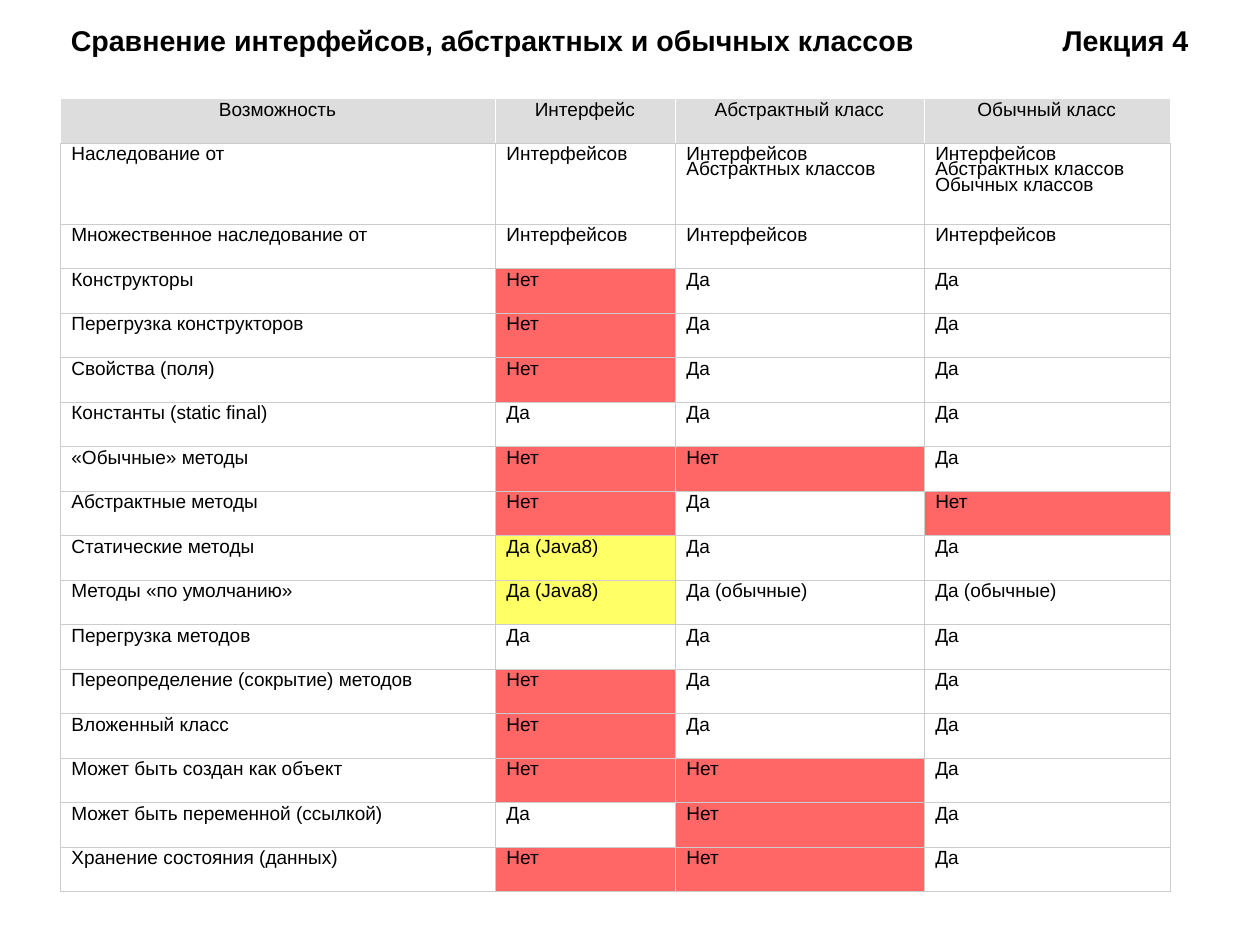
"""Build a slide that compares interfaces, abstract classes and ordinary classes."""
from lxml.etree import SubElement
from pptx import Presentation
from pptx.dml.color import RGBColor
from pptx.enum.text import MSO_ANCHOR as Anchor, PP_ALIGN as Align
from pptx.oxml.ns import qn
from pptx.util import Pt

BLACK = RGBColor(0x00, 0x00, 0x00)
WHITE = RGBColor(0xFF, 0xFF, 0xFF)
HEADER_GRAY = RGBColor(0xDD, 0xDD, 0xDD)
BORDER_GRAY = RGBColor(0xCC, 0xCC, 0xCC)
RED = RGBColor(0xFF, 0x66, 0x66)
YELLOW = RGBColor(0xFF, 0xFF, 0x66)

ANSWER_FILLS = {"Нет": RED, "Да (Java8)": YELLOW}
COLUMN_WIDTHS = (274, 113.4, 156.8, 154.8)
ROW_HEIGHT = 28.05
TALL_ROW, TALL_HEIGHT = 1, 51
SIDES = ("lnL", "lnR", "lnT", "lnB")

HEADERS = ("Возможность", "Интерфейс", "Абстрактный класс", "Обычный класс")
FEATURES = (
    ("Наследование от", "Интерфейсов", "Интерфейсов\nАбстрактных классов",
     "Интерфейсов\nАбстрактных классов\nОбычных классов"),
    ("Множественное наследование от", "Интерфейсов", "Интерфейсов", "Интерфейсов"),
    ("Конструкторы", "Нет", "Да", "Да"),
    ("Перегрузка конструкторов", "Нет", "Да", "Да"),
    ("Свойства (поля)", "Нет", "Да", "Да"),
    ("Константы (static final)", "Да", "Да", "Да"),
    ("«Обычные» методы", "Нет", "Нет", "Да"),
    ("Абстрактные методы", "Нет", "Да", "Нет"),
    ("Статические методы", "Да (Java8)", "Да", "Да"),
    ("Методы «по умолчанию»", "Да (Java8)", "Да (обычные)", "Да (обычные)"),
    ("Перегрузка методов", "Да", "Да", "Да"),
    ("Переопределение (сокрытие) методов", "Нет", "Да", "Да"),
    ("Вложенный класс", "Нет", "Да", "Да"),
    ("Может быть создан как объект", "Нет", "Нет", "Да"),
    ("Может быть переменной (ссылкой)", "Да", "Нет", "Да"),
    ("Хранение состояния (данных)", "Нет", "Нет", "Да"),
)


def style_paragraph(para, size, spacing, align=Align.LEFT, bold=False):
    """Set the font, line spacing and alignment of a paragraph."""
    para.alignment = align
    para.line_spacing = spacing
    font = para.font
    font.name, font.size, font.bold = "Arial", Pt(size), bold
    font.color.rgb = BLACK


def add_right_tab(para, position):
    """Add a right-aligned tab stop to a paragraph."""
    tabs = SubElement(para._p.get_or_add_pPr(), qn("a:tabLst"))
    SubElement(tabs, qn("a:tab"), pos=str(Pt(position)), algn="r")


def add_title(page, heading, lecture):
    """Add the heading with the lecture number at the right."""
    box = page.shapes.add_textbox(Pt(39.6), Pt(9.4), Pt(714.2), Pt(33.1))
    frame = box.text_frame
    frame.word_wrap = True
    frame.vertical_anchor = Anchor.MIDDLE
    frame.margin_left, frame.margin_top = Pt(5), Pt(1.4)
    frame.margin_right = frame.margin_bottom = 0
    para = frame.paragraphs[0]
    para.text = f"{heading}\t{lecture}"
    add_right_tab(para, 704)
    style_paragraph(para, 18, 0.93, bold=True)


def set_borders(cell, colors):
    """Draw a hairline of the given colour on each side of a cell."""
    properties = cell._tc.get_or_add_tcPr()
    for side, color in zip(SIDES, colors):
        line = SubElement(properties, qn(f"a:{side}"), w=str(Pt(0.06)))
        fill = SubElement(line, qn("a:solidFill"))
        SubElement(fill, qn("a:srgbClr"), val=str(color))


def fill_cell(cell, text, is_header):
    """Write a cell and give it its borders and fill."""
    cell.text = text
    for para in cell.text_frame.paragraphs:
        style_paragraph(para, 12, 0.71, Align.CENTER if is_header else Align.LEFT)
    side_color = WHITE if is_header else BORDER_GRAY
    set_borders(cell, (side_color, side_color, side_color, BORDER_GRAY))
    color = HEADER_GRAY if is_header else ANSWER_FILLS.get(text)
    if color is None:
        cell.fill.background()
    else:
        cell.fill.solid()
        cell.fill.fore_color.rgb = color


def add_comparison(page, rows):
    """Add the comparison table, with the first row as its header."""
    heights = [TALL_HEIGHT if index == TALL_ROW else ROW_HEIGHT
               for index in range(len(rows))]
    table = page.shapes.add_table(
        len(rows), len(COLUMN_WIDTHS), Pt(37.8), Pt(62),
        Pt(sum(COLUMN_WIDTHS)), Pt(sum(heights))).table
    table.first_row = table.horz_banding = False
    for column, width in zip(table.columns, COLUMN_WIDTHS):
        column.width = Pt(width)
    for index, (row, height, texts) in enumerate(zip(table.rows, heights, rows)):
        row.height = Pt(height)
        for cell, text in zip(row.cells, texts):
            fill_cell(cell, text, index == 0)


def main():
    """Build and save the slide."""
    deck = Presentation()
    deck.slide_width, deck.slide_height = Pt(793.7), Pt(595.28)
    page = deck.slides.add_slide(deck.slide_layouts[6])
    add_title(page, "Сравнение интерфейсов, абстрактных и обычных классов", "Лекция 4")
    add_comparison(page, (HEADERS, *FEATURES))
    deck.save("out.pptx")


if __name__ == "__main__":
    main()
